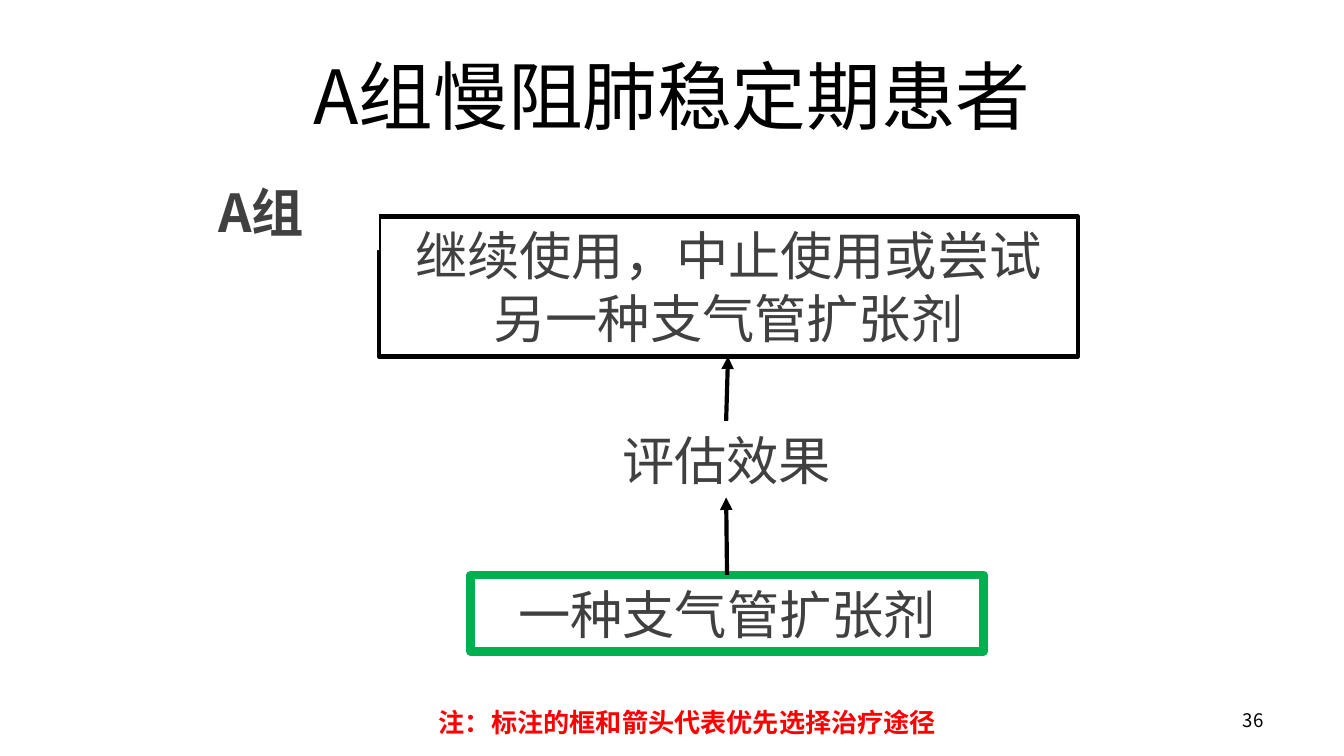
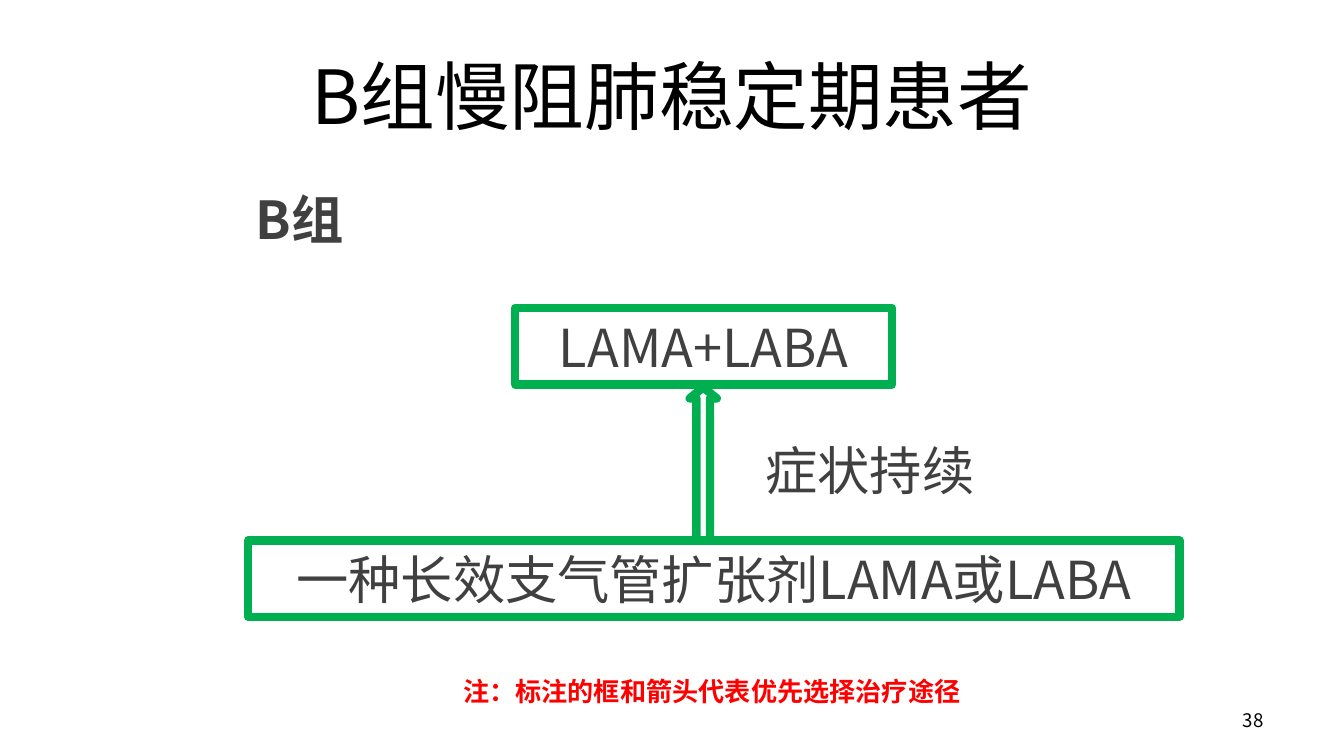
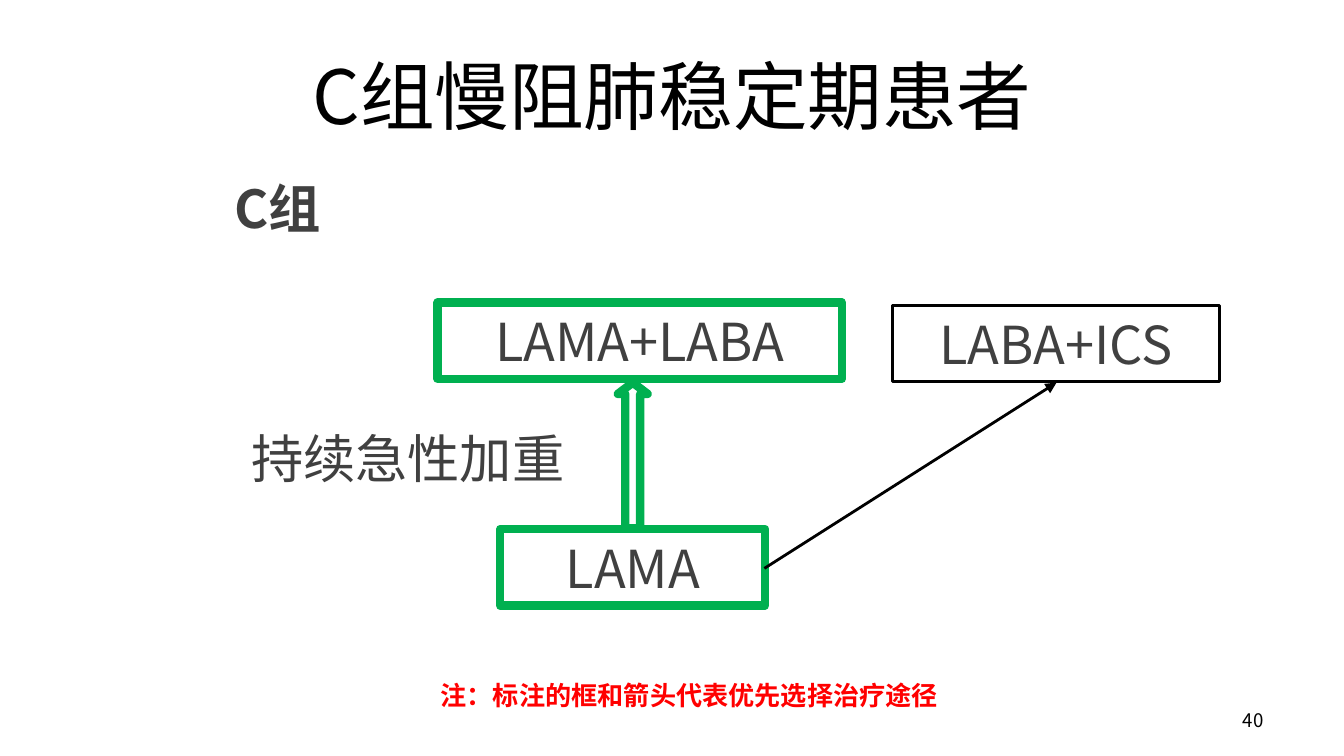
from pptx import Presentation
from pptx.dml.color import RGBColor
from pptx.enum.shapes import MSO_CONNECTOR, MSO_SHAPE
from pptx.enum.text import MSO_ANCHOR, PP_ALIGN
from pptx.oxml.ns import qn
from pptx.util import Pt
from lxml.etree import SubElement

FONT, NOTE_FONT = "Noto Sans CJK SC", "Times New Roman"
BLACK, WHITE, GRAY, GREEN, RED = "000000", "FFFFFF", "404040", "00B050", "FF0000"
NOTE = "注：标注的框和箭头代表优先选择治疗途径"
BOX_H = 41
PREFERRED = (GREEN, 4.5)

# Parts run from back to front:
# ("box", text, left, top, width, format), ("up", left, top, width, height, head ratio),
# ("arrow", start, end, weight)
SLIDES = [
    dict(group="A组", number="36", note=(228, 366.5), label=(76.5, 93, 126.5), parts=[
        ("box", "一种支气管扩张剂", 252, 308, 275, dict(line=PREFERRED)),
        ("arrow", (389.5, 308), (389, 266.5), 2.25),
        ("box", "评估效果", 289.5, 225.5, 199.5, {}),
        ("arrow", (389, 225.5), (390, 191), 2.25),
        ("box", "继续使用，中止使用或尝试另一种支气管扩张剂", 203, 116, 374.5,
         dict(line=(BLACK, 2.25), height=75)),
    ]),
    dict(group="B组", number="38", note=(241, 350), label=(103.5, 96.5, 114), parts=[
        ("box", "一种长效支气管扩张剂LAMA或LABA", 133, 289.5, 499, dict(line=PREFERRED)),
        ("up", 369.5, 207.5, 14.5, 82, 0.41),
        ("box", "症状持续", 403, 231, 150, dict(align=PP_ALIGN.LEFT)),
        ("box", "LAMA+LABA", 276, 165, 202, dict(line=PREFERRED)),
    ]),
    dict(group="C组", number="40", note=(229, 352), label=(88, 90.5, 121.5), parts=[
        ("box", "LAMA+LABA", 234.5, 162, 216.5, dict(line=PREFERRED)),
        ("box", "LAMA", 268, 283.5, 142, dict(line=PREFERRED)),
        ("box", "LABA+ICS", 478, 163.5, 175.5, dict(line=(BLACK, 1.5))),
        ("box", "持续急性加重", 127.5, 224.5, 204, dict(align=PP_ALIGN.LEFT)),
        ("up", 331, 205, 16, 78, 0.38),
        ("arrow", (409.5, 304.5), (566, 205), 1.5),
    ]),
]


def rgb(color):
    return RGBColor.from_string(color)


def write(sp, text, size=28, color=GRAY, bold=False, font=FONT,
          align=PP_ALIGN.CENTER, anchor=MSO_ANCHOR.MIDDLE, spacing=None):
    tf = sp.text_frame
    tf.word_wrap = True
    tf.vertical_anchor = anchor
    p = tf.paragraphs[0]
    p.alignment = align
    p.line_spacing = spacing
    r = p.add_run()
    r.text = text
    r.font.size, r.font.bold, r.font.name = Pt(size), bold, font
    r.font.color.rgb = rgb(color)
    SubElement(r.font._element, qn("a:ea")).set("typeface", FONT)


def add_text(s, text, left, top, width, height, **fmt):
    write(s.shapes.add_textbox(Pt(left), Pt(top), Pt(width), Pt(height)), text, **fmt)


def add_filled(s, kind, left, top, width, height, line=None):
    """Add a white shape; line is (colour, weight) or None."""
    sp = s.shapes.add_shape(kind, Pt(left), Pt(top), Pt(width), Pt(height))
    sp.shadow.inherit = False
    sp.fill.solid()
    sp.fill.fore_color.rgb = rgb(WHITE)
    if line:
        sp.line.color.rgb, sp.line.width = rgb(line[0]), Pt(line[1])
    else:
        sp.line.fill.background()
    return sp


def add_box(s, text, left, top, width, fmt):
    fmt = dict(fmt)
    line, height = fmt.pop("line", None), fmt.pop("height", BOX_H)
    write(add_filled(s, MSO_SHAPE.RECTANGLE, left, top, width, height, line), text, **fmt)


def add_up(s, left, top, width, height, head):
    sp = add_filled(s, MSO_SHAPE.UP_ARROW, left, top, width, height, PREFERRED)
    sp.adjustments[0], sp.adjustments[1] = 0.5, head


def add_arrow(s, start, end, weight):
    c = s.shapes.add_connector(MSO_CONNECTOR.STRAIGHT, *map(Pt, start + end))
    c.line.color.rgb, c.line.width = rgb(BLACK), Pt(weight)
    SubElement(c.line._get_or_add_ln(), qn("a:tailEnd")).set("type", "triangle")
    SubElement(c._element.spPr, qn("a:effectLst"))


ADD = {"box": add_box, "up": add_up, "arrow": add_arrow}


def add_slide(prs, group, number, note, label, parts):
    s = prs.slides.add_slide(prs.slide_layouts[6])
    add_text(s, group + "慢阻肺稳定期患者", 36, 16.5, 648, 68, size=40, color=BLACK)
    for kind, *args in parts:
        ADD[kind](s, *args)
    add_box(s, group, *label, dict(bold=True))
    add_text(s, NOTE, *note, 302.5, 32.5, size=14, color=RED, bold=True, font=NOTE_FONT,
             align=PP_ALIGN.LEFT, anchor=MSO_ANCHOR.TOP, spacing=1.5)
    add_text(s, number, 516, 375, 168, 21.5, size=10, color=BLACK, align=PP_ALIGN.RIGHT)


def main():
    prs = Presentation()
    prs.slide_width, prs.slide_height = Pt(720), Pt(405)
    for content in SLIDES:
        add_slide(prs, **content)
    prs.save("out.pptx")


if __name__ == "__main__":
    main()
